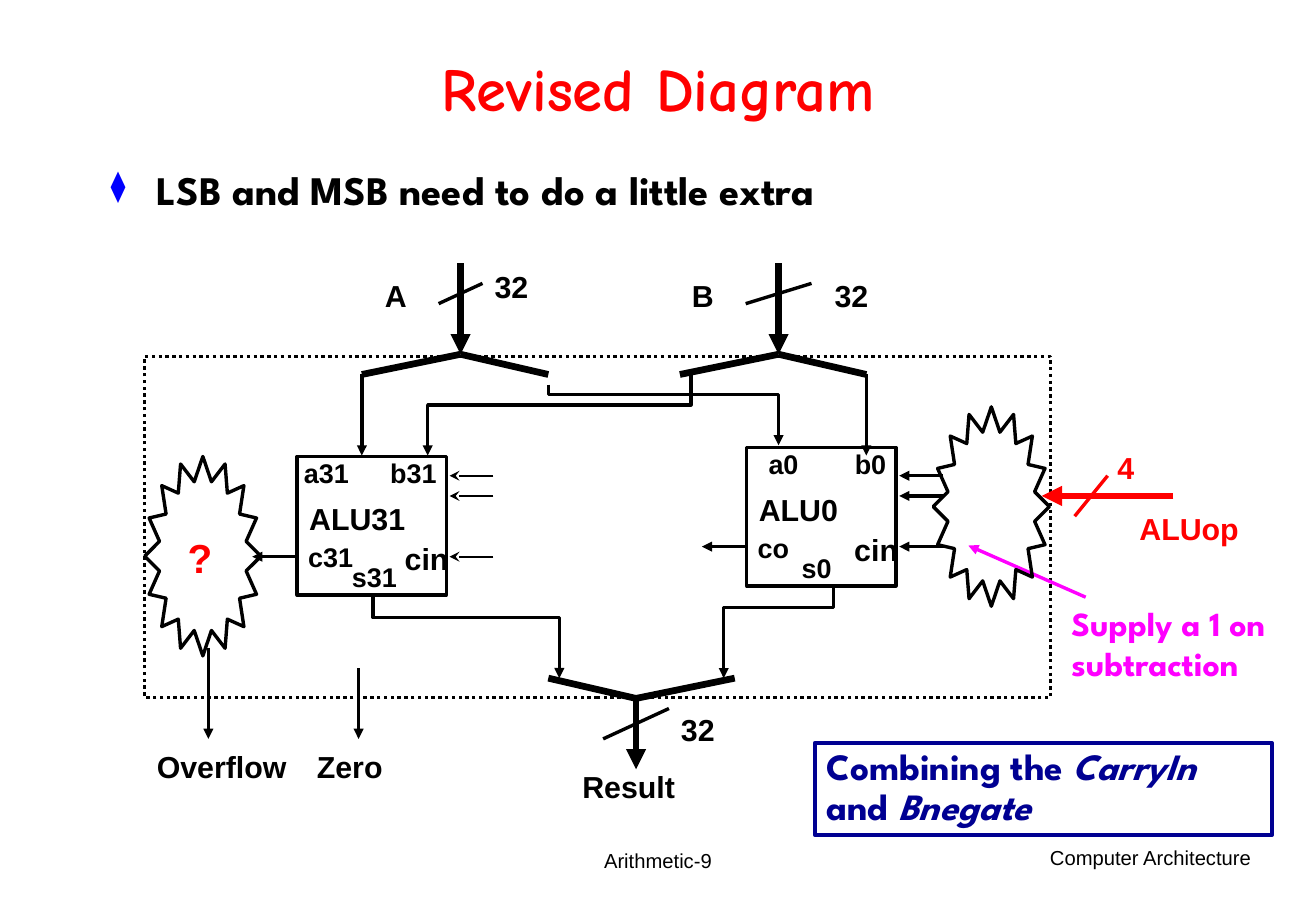
from lxml import etree
from pptx import Presentation
from pptx.dml.color import RGBColor
from pptx.enum.dml import MSO_LINE
from pptx.enum.shapes import MSO_CONNECTOR, MSO_SHAPE
from pptx.enum.text import MSO_ANCHOR, PP_ALIGN
from pptx.oxml.ns import qn
from pptx.util import Inches, Pt

WIDTH, HEIGHT = Inches(10.84), Inches(7.5)
COLUMNS, ROWS = 120, 90
TITLE_ONLY = 5
RECTANGLE, STAR = MSO_SHAPE.RECTANGLE, MSO_SHAPE.STAR_16_POINT
STRAIGHT, DOTTED = MSO_CONNECTOR.STRAIGHT, MSO_LINE.ROUND_DOT
LEFT, CENTER, RIGHT = PP_ALIGN.LEFT, PP_ALIGN.CENTER, PP_ALIGN.RIGHT
TOP, MIDDLE = MSO_ANCHOR.TOP, MSO_ANCHOR.MIDDLE

BLACK, RED, BLUE, NAVY, PINK = "000000", "FF0000", "0000FF", "000092", "FF00FF"
PLAIN, DISPLAY, HAND = "Arial", "League Spartan", "Comic Neue"
THIN, NORMAL, THICK = 1, 2, 4
ALU_WIDTH, ALU_HEIGHT = 13.6, 13.7


def rgb(code):
    return RGBColor.from_string(code)


def x(column):
    return round(WIDTH * column / COLUMNS)


def y(row):
    return round(HEIGHT * row / ROWS)


def set_font(paragraph, size, color, name=PLAIN, bold=True):
    font = paragraph.font
    font.size, font.name, font.bold = Pt(size), name, bold
    font.color.rgb = rgb(color)


def label(slide, text, column, row, width=14, size=18, color=BLACK,
          name=PLAIN, bold=True, align=LEFT):
    """Place text by the exact corner of its first line; return its paragraph."""
    box = slide.shapes.add_textbox(x(column), y(row), x(width), y(4))
    frame = box.text_frame
    frame.word_wrap = True
    frame.margin_left = frame.margin_right = 0
    frame.margin_top = frame.margin_bottom = 0
    paragraph = frame.paragraphs[0]
    paragraph.text, paragraph.alignment = text, align
    set_font(paragraph, size, color, name, bold)
    return paragraph


def outline(shape, color, weight):
    shape.fill.background()
    shape.line.color.rgb = rgb(color)
    shape.line.width = Pt(weight)
    shape.shadow.inherit = False


def block(slide, kind, column, row, width, height, color=BLACK, weight=NORMAL):
    shape = slide.shapes.add_shape(kind, x(column), y(row), x(width), y(height))
    outline(shape, color, weight)
    return shape


def wire(slide, points, weight=NORMAL, color=BLACK, head="triangle"):
    """Draw a straight or bent line through grid points, with a head at its end."""
    corners = [(x(column), y(row)) for column, row in points]
    if len(corners) == 2:
        line = slide.shapes.add_connector(STRAIGHT, *corners[0], *corners[1])
        line.line.color.rgb = rgb(color)
        line.line.width = Pt(weight)
        etree.SubElement(line._element.spPr, qn("a:effectLst"))
    else:
        builder = slide.shapes.build_freeform(*corners[0], scale=1)
        builder.add_line_segments(corners[1:], close=False)
        line = builder.convert_to_shape()
        outline(line, color, weight)
    if head:
        etree.SubElement(line.line._get_or_add_ln(), qn("a:tailEnd"), type=head)


def bus(slide, start, end, slash, color=BLACK):
    """Thick arrow crossed by the slash that marks a multi-bit signal."""
    wire(slide, [start, end], THICK, color)
    wire(slide, slash, NORMAL, color, head=None)


def fork(slide, apex, left, right, row):
    for column in (left, right):
        wire(slide, [apex, (column, row)], THICK, head=None)


def alu(slide, column, row, name, a, b, carry, total):
    block(slide, RECTANGLE, column, row, ALU_WIDTH, ALU_HEIGHT)
    label(slide, name, column + 1.1, row + 4.3)
    for port, right_edge in ((a, 4.7), (b, 12.7)):
        label(slide, port, column + right_edge - 6, row, 6, 16, align=RIGHT)
    label(slide, carry, column + 1, row + 8.3, size=16)
    label(slide, total, column + 5, row + 10.3, size=16)
    label(slide, "cin", column + 9.8, row + 8.3)


def starburst(slide, column, row):
    star = block(slide, STAR, column, row, 10.6, 19.7)
    star.adjustments[0] = 0.38


def heading(slide):
    title = slide.shapes.title
    title.left, title.top, title.width, title.height = x(9), y(3.2), x(102), y(11.9)
    frame = title.text_frame
    frame.text, frame.vertical_anchor = "Revised Diagram", MIDDLE
    paragraph = frame.paragraphs[0]
    paragraph.alignment, paragraph.line_spacing = CENTER, 0.85
    set_font(paragraph, 36, RED, HAND)

    point = label(slide, "LSB and MSB need to do a little extra", 10.1, 16.8, 100,
                  24, name=DISPLAY)
    point.line_spacing = 0.9
    properties = point._p.get_or_add_pPr()
    properties.set("marL", str(Inches(0.38)))
    properties.set("indent", str(-Inches(0.38)))
    bullet_color = etree.Element(qn("a:buClr"))
    etree.SubElement(bullet_color, qn("a:srgbClr"), val=BLUE)
    bullet_size = etree.Element(qn("a:buSzPct"), val="75000")
    bullet = etree.Element(qn("a:buChar"), char="⧫")
    default_run = properties.find(qn("a:defRPr"))
    for part in (bullet_color, bullet_size, bullet):
        default_run.addprevious(part)


def buses(slide):
    bus(slide, (42, 26), (42, 35), [(40, 30), (44, 28)])
    bus(slide, (71, 26), (71, 35), [(68, 30), (74, 28)])
    bus(slide, (58, 69), (58, 76), [(55, 73), (61, 70)])
    bus(slide, (107, 49), (95, 49), [(98, 51), (101, 47)], RED)
    fork(slide, (42, 35), 33, 50, 37)
    fork(slide, (71, 35), 62, 79, 37)
    fork(slide, (58, 69), 50, 67, 67)


def wires(slide):
    for route in (
        [(33, 37), (33, 45)],
        [(79, 37), (79, 45)],
        [(50, 38), (50, 39), (71, 39), (71, 44)],
        [(63, 37), (63, 40), (39, 40), (39, 45)],
        [(34, 59), (34, 61), (51, 61), (51, 67)],
        [(76, 58), (76, 60), (66, 60), (66, 67)],
        [(68, 54), (64, 54)],
        [(27, 55), (23, 55)],
        [(19, 64), (19, 73)],
        [(32.7, 66), (32.7, 73)],
    ):
        wire(slide, route)
    for row in (47, 49, 54):
        wire(slide, [(86, row), (82, row)])
    for row in (47, 49, 55):
        wire(slide, [(45, row), (41, row)], THIN, head="stealth")
    wire(slide, [(99, 59), (88.3, 53.9)], color=PINK)


def signal_names(slide):
    for text, column, row, color in (
        ("A", 35.1, 27.4, BLACK), ("32", 45.1, 26.5, BLACK),
        ("B", 63.1, 27.4, BLACK), ("32", 76.1, 27.4, BLACK),
        ("4", 101.9, 44.4, RED), ("ALUop", 103.9, 50.4, RED),
        ("32", 62.1, 70.3, BLACK), ("Result", 53.1, 75.9, BLACK),
        ("Overflow", 14.3, 73.9, BLACK), ("Zero", 28.9, 73.9, BLACK),
    ):
        label(slide, text, column, row, color=color)
    label(slide, "?", 17.1, 52.7, size=24, color=RED)
    label(slide, "Supply a 1 on subtraction", 97.7, 59.5, 18, 20, PINK, DISPLAY)


def conclusion(slide):
    box = block(slide, RECTANGLE, 74.3, 73.4, 41.7, 9.1, NAVY, 2.25)
    frame = box.text_frame
    frame.word_wrap, frame.vertical_anchor = True, TOP
    paragraph = frame.paragraphs[0]
    paragraph.alignment, paragraph.line_spacing = LEFT, 0.9
    set_font(paragraph, 22, NAVY, DISPLAY)
    for text, italic in (("Combining the ", False), ("CarryIn ", True),
                         ("and ", False), ("Bnegate", True)):
        run = paragraph.add_run()
        run.text, run.font.italic = text, italic


def main():
    deck = Presentation()
    deck.slide_width, deck.slide_height = WIDTH, HEIGHT
    slide = deck.slides.add_slide(deck.slide_layouts[TITLE_ONLY])
    heading(slide)
    block(slide, RECTANGLE, 13.2, 35.2, 82.6, 33.7).line.dash_style = DOTTED
    buses(slide)
    alu(slide, 27.1, 45.1, "ALU31", "a31", "b31", "c31", "s31")
    alu(slide, 68.1, 44.2, "ALU0", "a0", "b0", "co", "s0")
    wires(slide)
    starburst(slide, 13.2, 45.1)
    starburst(slide, 85.1, 40.2)
    signal_names(slide)
    conclusion(slide)
    label(slide, "Arithmetic-9", 45, 83.8, 30, 12, bold=False, align=CENTER)
    label(slide, "Computer Architecture", 84.1, 83.5, 30, 12, bold=False, align=RIGHT)
    deck.save("out.pptx")


if __name__ == "__main__":
    main()
